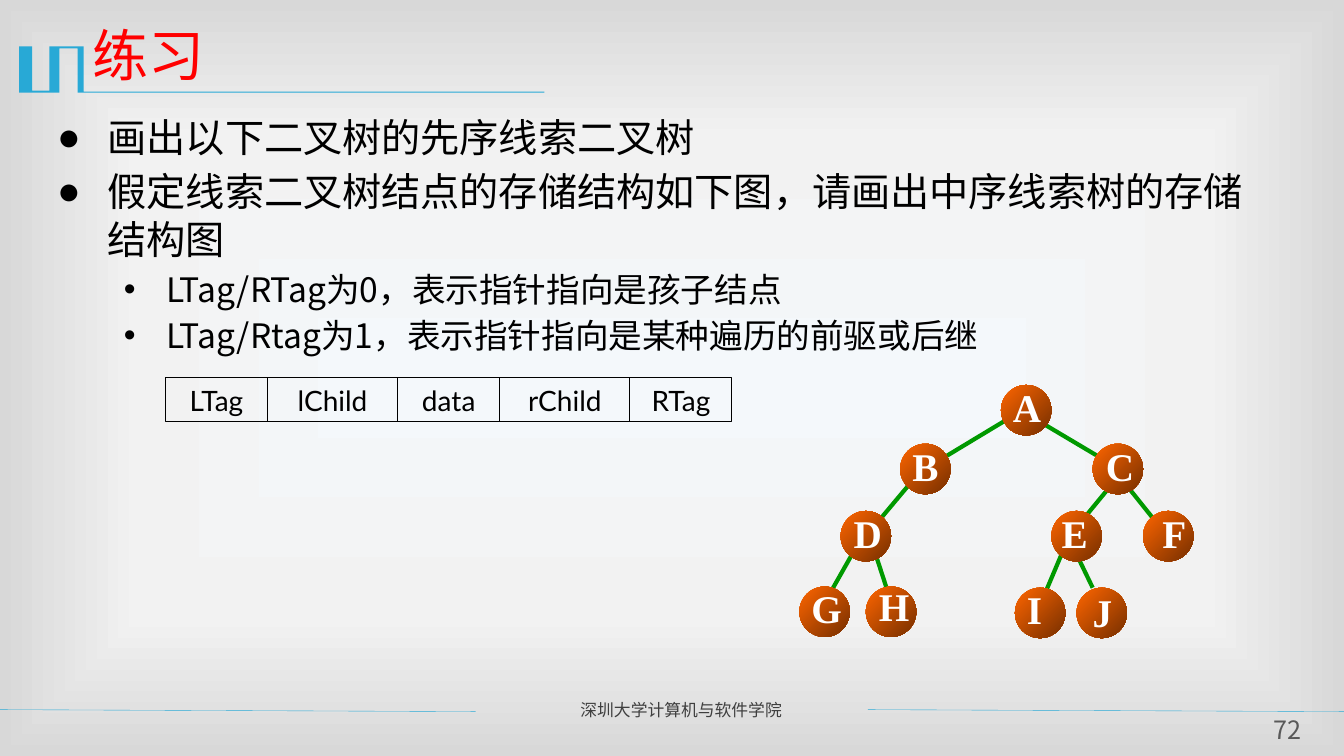
from pptx import Presentation
from pptx.dml.color import RGBColor
from pptx.enum.shapes import MSO_CONNECTOR, MSO_SHAPE
from pptx.enum.text import MSO_ANCHOR, PP_ALIGN
from pptx.oxml import parse_xml
from pptx.oxml.ns import nsdecls, qn
from pptx.util import Pt
from lxml.etree import SubElement

CJK = "Noto Sans CJK SC"


def paint(color, code):
    color.rgb = RGBColor.from_string(code)


def write(frame, para, text, code, align, look, setup):
    for key, value in setup.items():
        setattr(frame, key, value)
    para.alignment = align
    run = para.add_run()
    run.text = text
    for key, value in look.items():
        setattr(run.font, key, value)
    paint(run.font.color, code)
    SubElement(run.font._element, qn("a:ea"), typeface=look["name"])


deck = Presentation()
deck.slide_width, deck.slide_height = Pt(960), Pt(540)
slide = deck.slides.add_slide(deck.slide_layouts[6])
shapes = slide.shapes

slide.background.fill.gradient()
old = slide._element.find(".//" + qn("a:gradFill"))
stops = "".join(
    f'<a:gs pos="{pos}000"><a:srgbClr val="{code}"/></a:gs>'
    for pos, code in [(0, "F4F8FB"), (63, "F2F2F2"), (100, "D8D8D8")]
)
old.getparent().replace(old, parse_xml(
    f'<a:gradFill {nsdecls("a")} rotWithShape="1"><a:gsLst>{stops}</a:gsLst>'
    '<a:path path="rect"><a:fillToRect l="50000" t="50000" r="50000" b="50000"/>'
    '</a:path></a:gradFill>'))

bends = [
    (59.8, 33.1), (59.8, 65.5), (388.8, 65.5), (388.8, 66.2), (55.4, 66.2),
    (55.4, 34.6), (42.5, 34.6), (42.5, 66.2), (13.7, 66.2), (13.7, 33.1),
    (23, 33.1), (23, 64.8), (35.3, 64.8), (35.3, 33.1),
]
points = [(Pt(x), Pt(y)) for x, y in bends]
pen = shapes.build_freeform(*points[0], scale=1.0)
pen.add_line_segments(points[1:], close=True)
crest = pen.convert_to_shape()
crest.shadow.inherit = False
crest.fill.solid()
paint(crest.fill.fore_color, "28A9D6")
crest.line.fill.background()

rules = [(0, 506.9, 339.8, 508.3), (619.9, 506.9, 960, 508.3)]
edges = [
    (805, 347, 828.7, 376.6), (796.3, 343.4, 769, 376.6),
    (612.7, 388.8, 589, 430.6), (648.7, 347, 618.5, 383),
    (738.7, 298.8, 795.6, 332.6), (720.7, 298.8, 661, 334.8),
    (625, 394.6, 635.8, 427.7), (761, 389.5, 743, 432),
    (769, 396, 780.5, 419.8),
]
for group, code, width in [(rules, "28A9D6", 0.25), (edges, "009900", 3)]:
    for ends in group:
        line = shapes.add_connector(MSO_CONNECTOR.STRAIGHT, *map(Pt, ends))
        paint(line.line.color, code)
        line.line.width = Pt(width)
        SubElement(line._element.spPr, qn("a:effectLst"))

bare = dict.fromkeys(
    ["margin_left", "margin_right", "margin_top", "margin_bottom"], 0)
middle = {"vertical_anchor": MSO_ANCHOR.MIDDLE}
labels = [
    ((59, 7.3, 864, 62.6), "练习", 40, "FF0000", PP_ALIGN.LEFT, middle),
    ((407.5, 496, 205.2, 21.6), "深圳大学计算机与软件学院", 12, "3F3F3F",
     PP_ALIGN.JUSTIFY, {}),
    ((898.6, 510, 42.5, 22.3), "72", 18, "595959", PP_ALIGN.CENTER, bare),
]
for place, text, size, code, align, setup in labels:
    frame = shapes.add_textbox(*map(Pt, place)).text_frame
    write(frame, frame.paragraphs[0], text, code, align,
          {"size": Pt(size), "name": CJK}, {"word_wrap": True, **setup})

tasks = [
    (0, "画出以下二叉树的先序线索二叉树"),
    (0, "假定线索二叉树结点的存储结构如下图，请画出中序线索树的存储结构图"),
    (1, "LTag/RTag为0，表示指针指向是孩子结点"),
    (1, "LTag/Rtag为1，表示指针指向是某种遍历的前驱或后继"),
]
levels = [
    (28, 34.3, 4.3, 36, 36, "●"),
    (24, 29.3, 3.8, 77.8, 30.2, "•"),
]
body = shapes.add_textbox(Pt(33.8), Pt(76.9), Pt(873.4), Pt(403)).text_frame
for num, (level, text) in enumerate(tasks):
    size, pitch, gap, left, hang, mark = levels[level]
    para = body.add_paragraph() if num else body.paragraphs[0]
    para.level = level
    para.line_spacing = Pt(pitch)
    para.space_before = Pt(gap if num else 0)
    props = para._p.get_or_add_pPr()
    props.set("marL", str(Pt(left)))
    props.set("indent", str(-Pt(hang)))
    SubElement(props, qn("a:buFont"), typeface="Arial")
    SubElement(props, qn("a:buChar"), char=mark)
    write(body, para, text, "000000", PP_ALIGN.LEFT,
          {"size": Pt(size), "name": CJK}, {"word_wrap": True})

left = 118.1
fields = [("LTag", 73), ("lChild", 92.9), ("data", 73),
          ("rChild", 92.9), ("RTag", 73)]
for text, width in fields:
    cell = shapes.add_shape(
        MSO_SHAPE.RECTANGLE, Pt(left), Pt(270), Pt(width), Pt(31.4))
    cell.shadow.inherit = False
    cell.fill.background()
    paint(cell.line.color, "000000")
    cell.line.width = Pt(0.75)
    frame = cell.text_frame
    write(frame, frame.paragraphs[0], text, "000000", PP_ALIGN.CENTER,
          {"size": Pt(20), "name": "Lato"}, middle)
    left += width

nodes = [
    ("A", 715, 275, 0.7, -2.5), ("B", 643, 317, 0, -2.5),
    ("C", 780.5, 317, 1.5, -2.5), ("D", 600.5, 365, 1.4, -2.5),
    ("E", 751, 365, -1.4, -2.5), ("F", 816.5, 365, 4.3, -2.5),
    ("G", 571, 419, 1.4, -2.5), ("H", 618.5, 419, 2.2, -4),
    ("I", 725, 419.8, -4, -3.2), ("J", 769, 419.8, 0.4, -1),
]
side, tall = 36, 41
for name, x, y, dx, dy in nodes:
    ball = shapes.add_shape(MSO_SHAPE.OVAL, Pt(x), Pt(y), Pt(side), Pt(side))
    ball.shadow.inherit = False
    ball.line.fill.background()
    ball.fill.gradient()
    ball.fill.gradient_angle = 315
    for stop, pos, code in zip(
            ball.fill.gradient_stops, (0, 1), ("FF6600", "762F00")):
        stop.position = pos
        paint(stop.color, code)
    frame = shapes.add_textbox(
        Pt(x + dx), Pt(y + dy + (side - tall) / 2), Pt(side), Pt(tall)).text_frame
    write(frame, frame.paragraphs[0], name, "FFFFFF", PP_ALIGN.CENTER,
          {"size": Pt(28), "name": "Times New Roman", "bold": True},
          {"word_wrap": False, **middle})

deck.save("out.pptx")
